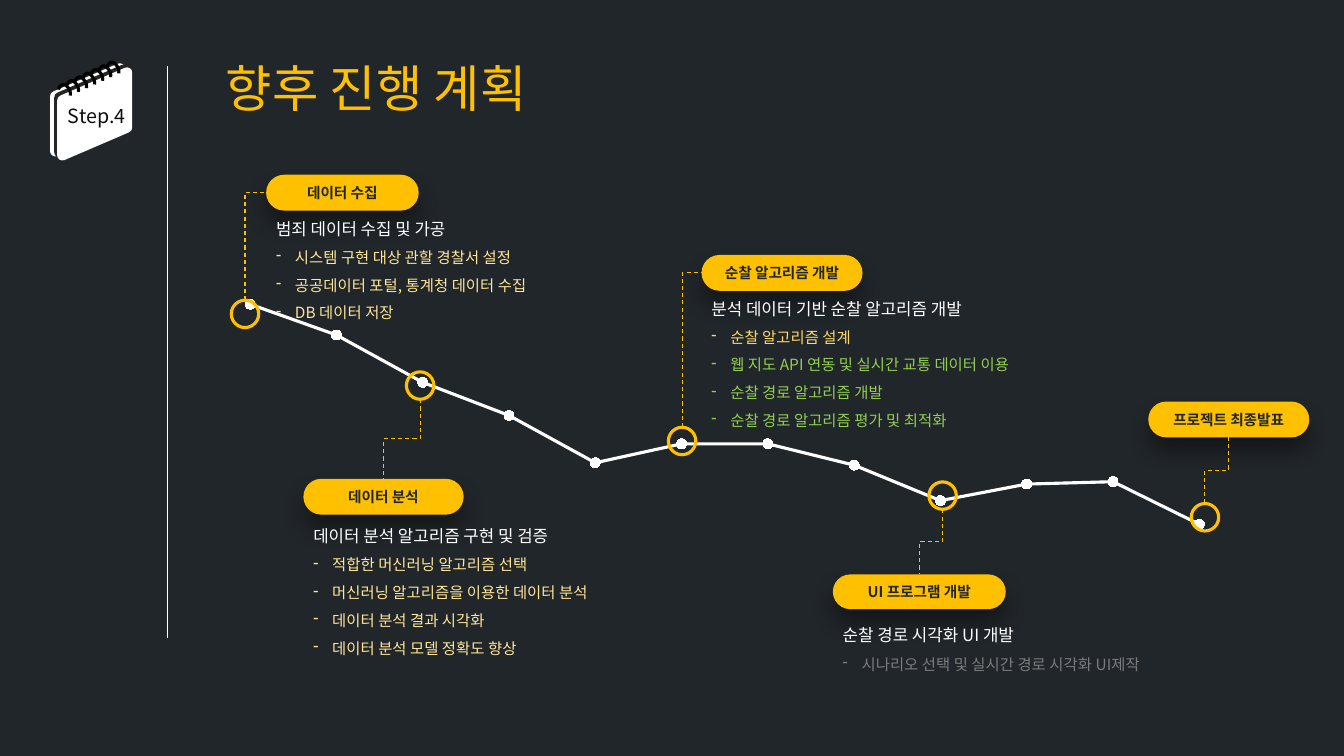
from lxml.etree import SubElement
from pptx import Presentation
from pptx.chart.data import CategoryChartData
from pptx.dml.color import RGBColor
from pptx.enum.chart import XL_CHART_TYPE, XL_MARKER_STYLE
from pptx.enum.dml import MSO_LINE
from pptx.enum.shapes import MSO_CONNECTOR, MSO_SHAPE
from pptx.enum.text import MSO_ANCHOR, PP_ALIGN
from pptx.oxml.ns import qn
from pptx.util import Pt

THEME = {
    "ground": "21262A", "white": "FFFFFF", "accent": "FFC000", "done": "FFE699",
    "nearly": "FFD966", "active": "92D050", "later": "7C7C7C", "ink": "0D0D0D",
    "ring": "000000", "edge": "262626", "marker": "F2F2F2", "axis": "D9D9D9",
    "korean": "Noto Sans CJK KR", "step": "Noto Sans CJK SC",
    "title_size": 36, "step_size": 14, "heading_size": 12, "item_size": 11,
    "pill_size": 10.5, "chart_size": 10,
}
TITLE = "향후 진행 계획"
STEP = "Step.4"
PROGRESS = [100, 87, 67, 53, 33, 41, 41, 32, 17, 24, 25, 7]
STAGES = [
    {"label": "데이터 수집", "pill": (190.1, 124.8, 109, 25.6), "circle": (175, 224.2),
     "side": "left", "body": (146.2, 217.4), "heading": "범죄 데이터 수집 및 가공",
     "items": [("시스템 구현 대상 관할 경찰서 설정", "done"),
               ("공공데이터 포털, 통계청 데이터 수집", "done"),
               ("DB 데이터 저장", "done")]},
    {"label": "데이터 분석", "pill": (216.7, 342, 114.5, 25.6), "circle": (300.1, 275.4),
     "side": "top", "body": (375.8, 246.2), "heading": "데이터 분석 알고리즘 구현 및 검증",
     "items": [("적합한 머신러닝 알고리즘 선택", "done"),
               ("머신러닝 알고리즘을 이용한 데이터 분석", "done"),
               ("데이터 분석 결과 시각화", "done"),
               ("데이터 분석 모델 정확도 향상", "done")]},
    {"label": "순찰 알고리즘 개발", "pill": (501.1, 182.1, 115, 25.6), "circle": (487.2, 315),
     "side": "left", "body": (213.1, 241.9), "heading": "분석 데이터 기반 순찰 알고리즘 개발",
     "items": [("순찰 알고리즘 설계", "nearly"),
               ("웹 지도 API 연동 및 실시간 교통 데이터 이용", "active"),
               ("순찰 경로 알고리즘 개발", "active"),
               ("순찰 경로 알고리즘 평가 및 최적화", "active")]},
    {"label": "UI 프로그램 개발", "pill": (594.9, 410.3, 123.5, 24.8), "circle": (673.3, 354),
     "side": "top", "body": (416.9, 240.5), "heading": "순찰 경로 시각화 UI 개발",
     "items": [("시나리오 선택 및 실시간 경로 시각화 UI제작", "later")]},
    {"label": "프로젝트 최종발표", "pill": (820.2, 286.8, 115, 25.6), "circle": (860.7, 369.5),
     "side": "bottom"},
]
CIRCLE_SIZE = 19.6
BODY_HEIGHT = 86.4
BULLET_INDENT = 13.5
RING_COUNT = 7
RING_STEP = (-5.76, 2.64)
RING_CURVES = [
    [(76.3, 48.2), (77.2, 45.2), (79.2, 43.9), (80.8, 44.6)],
    [(80.8, 44.6), (82.4, 45.4), (85.5, 48.4), (84.8, 52.4)],
]


def colour(name):
    return RGBColor.from_string(THEME[name])


def points(*lengths):
    return [Pt(length) for length in lengths]


def apply(target, values):
    for name, value in values.items():
        setattr(target, name, value)


def outline(shape, name, width):
    shape.line.color.rgb = colour(name)
    shape.line.width = Pt(width)


def write(para, text, size, name, face="korean", bold=False):
    span = para.add_run()
    span.text = text
    apply(span.font, {"size": Pt(THEME[size]), "name": THEME[face], "bold": bold})
    span.font.color.rgb = colour(name)
    SubElement(span.font._element, qn("a:ea"), typeface=THEME[face])


def cast_shadow(shape, name, alpha, blur, distance, direction):
    shape.shadow.inherit = False
    effects = shape.element.spPr.find(qn("a:effectLst"))
    shadow = SubElement(effects, qn("a:outerShdw"), blurRad=str(Pt(blur)), dist=str(Pt(distance)),
                        dir=str(direction * 60000), algn="ctr", rotWithShape="0")
    tint = SubElement(shadow, qn("a:srgbClr"), val=THEME[name])
    SubElement(tint, qn("a:alpha"), val=str(alpha * 1000))


def add_line(page, kind, start, end, name, width):
    line = page.shapes.add_connector(kind, *points(*start, *end))
    outline(line, name, width)
    SubElement(line.element.spPr, qn("a:effectLst"))
    return line


def add_text(page, box, wrap=True, anchor=MSO_ANCHOR.TOP):
    frame = page.shapes.add_textbox(*points(*box)).text_frame
    apply(frame, {"word_wrap": wrap, "vertical_anchor": anchor})
    return frame


def add_progress(page):
    data = CategoryChartData()
    data.categories = [str(number + 1) for number in range(len(PROGRESS))]
    data.add_series("Series 1", PROGRESS)
    chart = page.shapes.add_chart(XL_CHART_TYPE.LINE_MARKERS, *points(133.2, 202.3, 769, 187.9), data).chart
    apply(chart, {"has_legend": False, "has_title": False})
    apply(chart.font, {"size": Pt(THEME["chart_size"]), "name": THEME["korean"]})
    chart.font.color.rgb = colour("axis")
    apply(chart.value_axis, {"visible": False, "has_major_gridlines": False,
                             "minimum_scale": 0, "maximum_scale": 100})
    chart.category_axis.visible = False
    plot = chart.plots[0]
    plot.vary_by_categories = False
    series = plot.series[0]
    series.smooth = False
    outline(series.format, "white", 2.25)
    apply(series.marker, {"style": XL_MARKER_STYLE.CIRCLE, "size": 7})
    series.marker.format.fill.solid()
    series.marker.format.fill.fore_color.rgb = colour("marker")
    outline(series.marker.format, "white", 0.75)
    area = chart.element.chart.plotArea
    layout = area.find(qn("c:layout"))
    if layout is None:
        layout = area.makeelement(qn("c:layout"))
        area.insert(0, layout)
    manual = SubElement(layout, qn("c:manualLayout"))
    settings = {"layoutTarget": "inner", "xMode": "edge", "yMode": "edge",
                "x": 0.019, "y": 0.08, "w": 0.962, "h": 0.9}
    for tag, value in settings.items():
        SubElement(manual, qn(f"c:{tag}"), val=str(value))


def curve_point(curve, fraction):
    rest = 1 - fraction
    weights = (rest ** 3, 3 * rest ** 2 * fraction, 3 * rest * fraction ** 2, fraction ** 3)
    return [sum(weight * spot[axis] for weight, spot in zip(weights, curve)) for axis in (0, 1)]


def add_calendar(page):
    for left, top in ((33.1, 55.4), (38.2, 58.3)):
        sheet = page.shapes.add_shape(MSO_SHAPE.PARALLELOGRAM, *points(left, top, 59, 46.1))
        sheet.adjustments[0] = 0.43
        sheet.rotation = 90
        sheet.element.spPr.xfrm.flipH = True
        sheet.fill.solid()
        sheet.fill.fore_color.rgb = colour("white")
        outline(sheet, "white", 7.5)
        SubElement(sheet.line._get_or_add_ln(), qn("a:round"))
        cast_shadow(sheet, "edge", 100, 0, 3, 225)
    trail = [curve_point(curve, step / 8) for curve in RING_CURVES for step in range(9)]
    for number in range(RING_COUNT):
        spots = [points(x + number * RING_STEP[0], y + number * RING_STEP[1]) for x, y in trail]
        builder = page.shapes.build_freeform(*spots[0])
        builder.add_line_segments(spots[1:], close=False)
        ring = builder.convert_to_shape()
        ring.fill.background()
        ring.shadow.inherit = False
        outline(ring, "ring", 2.25)
    para = add_text(page, (41, 70.6, 56.2, 41), wrap=False).paragraphs[0]
    para.alignment = PP_ALIGN.CENTER
    write(para, STEP, "step_size", "ink", "step")


def add_link(page, stage):
    left, top, width, height = stage["pill"]
    x, y = stage["circle"]
    ends = {"left": (left, top + height / 2), "top": (left + width / 2, top),
            "bottom": (left + width / 2, top + height)}
    end_x, end_y = ends[stage["side"]]
    y += CIRCLE_SIZE / 2 if end_y > y else -CIRCLE_SIZE / 2
    middle_x, middle_y = (x + end_x) / 2, (y + end_y) / 2
    half_x, half_y = (end_x - x) / 2, (end_y - y) / 2
    link = add_line(page, MSO_CONNECTOR.ELBOW, (middle_x - half_y, middle_y + half_x),
                    (middle_x + half_y, middle_y - half_x), "accent", 0.75)
    link.line.dash_style = MSO_LINE.DASH
    link.element.spPr.xfrm.rot = 90
    if stage["side"] == "left":
        link.element.spPr.find(qn("a:prstGeom")).set("prst", "bentConnector2")


def add_stage(page, stage):
    x, y = stage["circle"]
    circle = page.shapes.add_shape(MSO_SHAPE.OVAL, *points(
        x - CIRCLE_SIZE / 2, y - CIRCLE_SIZE / 2, CIRCLE_SIZE, CIRCLE_SIZE))
    circle.fill.background()
    circle.shadow.inherit = False
    outline(circle, "accent", 2.25)
    pill = page.shapes.add_shape(MSO_SHAPE.ROUNDED_RECTANGLE, *points(*stage["pill"]))
    pill.adjustments[0] = 0.5
    pill.fill.solid()
    pill.fill.fore_color.rgb = colour("accent")
    pill.line.fill.background()
    cast_shadow(pill, "ring", 40, 16, 10, 90)
    pill.text_frame.vertical_anchor = MSO_ANCHOR.MIDDLE
    label = pill.text_frame.paragraphs[0]
    label.alignment = PP_ALIGN.CENTER
    write(label, stage["label"], "pill_size", "ground", bold=True)
    add_link(page, stage)
    if "body" not in stage:
        return
    top, width = stage["body"]
    frame = add_text(page, (stage["pill"][0], top, width, BODY_HEIGHT), anchor=MSO_ANCHOR.MIDDLE)
    heading = frame.paragraphs[0]
    heading.line_spacing = 1.5
    write(heading, stage["heading"], "heading_size", "white")
    for text, status in stage["items"]:
        para = frame.add_paragraph()
        para.line_spacing = 1.5
        properties = para._p.get_or_add_pPr()
        properties.set("marL", str(Pt(BULLET_INDENT)))
        properties.set("indent", str(-Pt(BULLET_INDENT)))
        SubElement(properties, qn("a:buChar"), char="-")
        write(para, text, "item_size", status)


def main():
    deck = Presentation()
    apply(deck, {"slide_width": Pt(960), "slide_height": Pt(540)})
    page = deck.slides.add_slide(deck.slide_layouts[6])
    page.background.fill.solid()
    page.background.fill.fore_color.rgb = colour("ground")
    add_progress(page)
    add_line(page, MSO_CONNECTOR.STRAIGHT, (119.5, 47.5), (119.5, 455.8), "white", 0.5)
    add_calendar(page)
    title = add_text(page, (154.1, 37.4, 418.3, 51.1))
    write(title.paragraphs[0], TITLE, "title_size", "accent")
    for stage in STAGES:
        add_stage(page, stage)
    deck.save("out.pptx")


if __name__ == "__main__":
    main()
